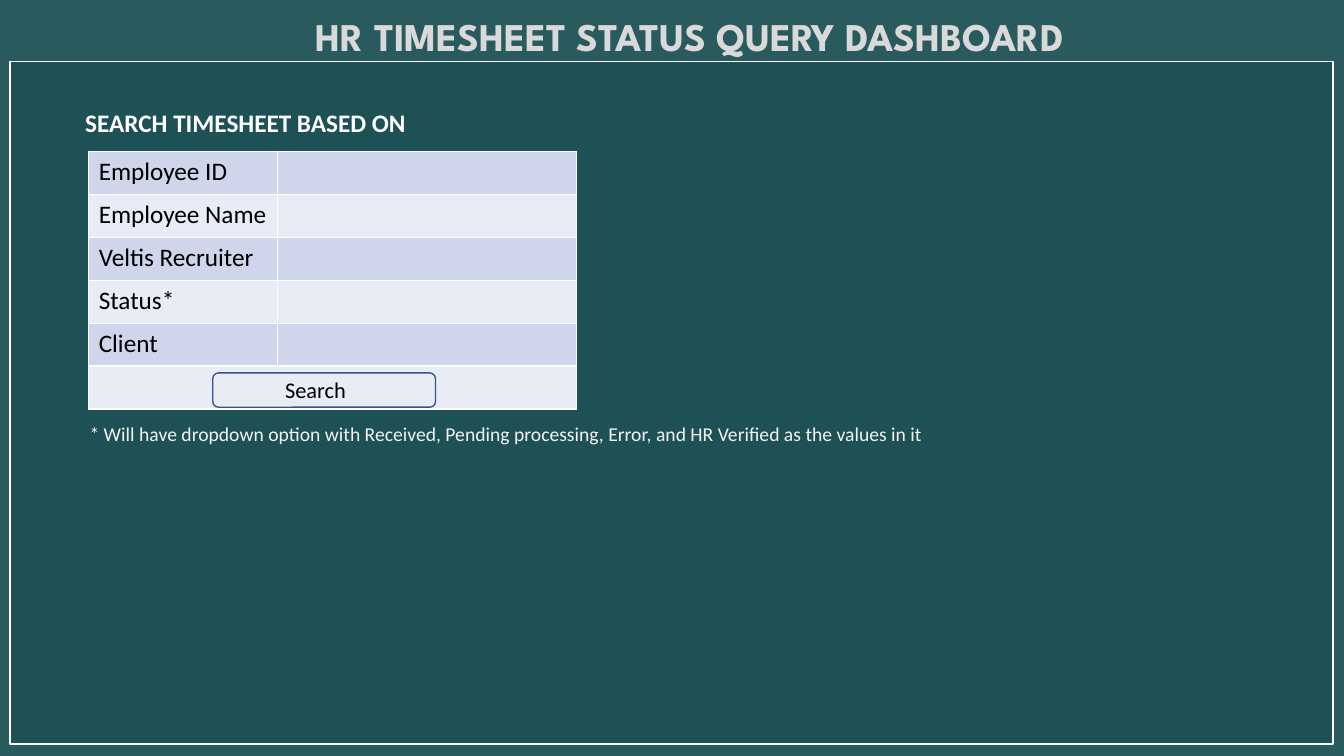
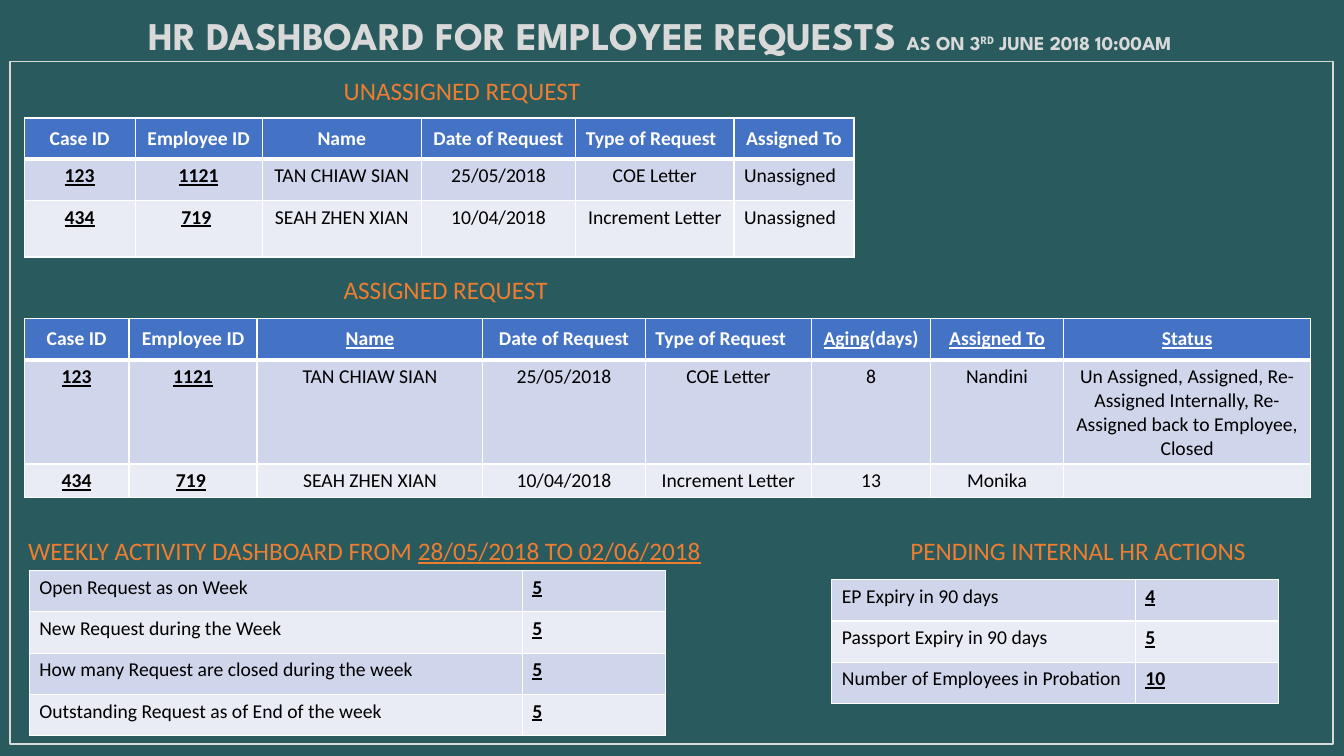
from dataclasses import dataclass

from lxml.etree import SubElement
from pptx import Presentation
from pptx.dml.color import RGBColor
from pptx.enum.shapes import MSO_SHAPE as Preset
from pptx.enum.text import MSO_ANCHOR as Anchor
from pptx.enum.text import MSO_AUTO_SIZE as AutoSize
from pptx.enum.text import PP_ALIGN as Align
from pptx.oxml.ns import qn
from pptx.util import Inches, Pt

TEAL = RGBColor(0x1E, 0x51, 0x55)
BACKDROP = RGBColor(0x29, 0x5A, 0x5D)
WHITE = RGBColor(0xFF, 0xFF, 0xFF)
BLACK = RGBColor(0x00, 0x00, 0x00)
SILVER = RGBColor(0xD9, 0xD9, 0xD9)
PALE = RGBColor(0xF2, 0xF2, 0xF2)
ORANGE = RGBColor(0xED, 0x7D, 0x31)
HEADER_BLUE = RGBColor(0x44, 0x72, 0xC4)
BUTTON_BLUE = RGBColor(0x32, 0x54, 0x91)
BANDS = (RGBColor(0xCF, 0xD5, 0xEA), RGBColor(0xE9, 0xEB, 0xF5))

TITLE_FONT = "League Spartan"
BODY_FONT = "Calibri"
TITLE_ONLY = 5
ROW = 0.41
LEFT_TEXTS = ("Type of Request", "Unassigned")


@dataclass
class Box:
    left: float
    top: float
    width: float
    height: float = 0.4

    def lengths(self):
        return [Inches(n) for n in (self.left, self.top, self.width, self.height)]

    def inner(self, left, top, width, height=0.4):
        return Box(self.left + left, self.top + top, width, height)


@dataclass
class Span:
    text: str
    size: float = None
    bold: bool = None
    underline: bool = False
    raised: bool = False


def link(text):
    return Span(text, bold=True, underline=True)


def write(paragraph, content, size, color, bold=False, font=BODY_FONT, align=Align.LEFT):
    paragraph.alignment = align
    for part in content if isinstance(content, list) else [content]:
        span = part if isinstance(part, Span) else Span(part)
        run = paragraph.add_run()
        run.text = span.text
        run.font.name = font
        run.font.size = Pt(span.size or size)
        run.font.bold = bold if span.bold is None else span.bold
        run.font.underline = span.underline
        run.font.color.rgb = color
        if span.raised:
            run._r.get_or_add_rPr().set("baseline", "30000")


def add_text(shapes, box, content, size, color, wrap=True, **style):
    text_frame = shapes.add_textbox(*box.lengths()).text_frame
    text_frame.word_wrap = wrap
    write(text_frame.paragraphs[0], content, size, color, **style)


def add_outline(shapes, preset, box, line, weight, fill=None):
    shape = shapes.add_shape(preset, *box.lengths())
    shape.shadow.inherit = False
    if fill is None:
        shape.fill.background()
    else:
        shape.fill.solid()
        shape.fill.fore_color.rgb = fill
    shape.line.color.rgb = line
    shape.line.width = Pt(weight)


def add_borders(cell, top=1, bottom=1):
    properties = cell._tc.get_or_add_tcPr()
    for side, weight in (("L", 1), ("R", 1), ("T", top), ("B", bottom)):
        line = SubElement(properties, qn(f"a:ln{side}"), w=str(Pt(weight)))
        fill = SubElement(line, qn("a:solidFill"))
        SubElement(fill, qn("a:srgbClr"), val=str(WHITE))


def add_grid(slide, left, top, widths, heights, rows, size=14, header=False, align=Align.LEFT):
    box = Box(left, top, sum(widths), sum(heights))
    table = slide.shapes.add_table(len(rows), len(widths), *box.lengths()).table
    table.first_row = header
    for column, width in zip(table.columns, widths):
        column.width = Inches(width)
    for row, height in zip(table.rows, heights):
        row.height = Inches(height)
    for i, row in enumerate(rows):
        heading = header and i == 0
        for j, content in enumerate(row):
            cell = table.cell(i, j)
            add_borders(cell, 3 if header and i == 1 else 1, 3 if heading else 1)
            cell.fill.solid()
            cell.fill.fore_color.rgb = HEADER_BLUE if heading else BANDS[(i - header) % 2]
            if heading:
                cell.vertical_anchor = Anchor.MIDDLE
            if not content:
                cell.margin_top = cell.margin_bottom = Inches(0.01)
                continue
            side = Align.LEFT if content in LEFT_TEXTS else align
            write(cell.text_frame.paragraphs[0], content, size,
                  WHITE if heading else BLACK, bold=heading, align=side)
    return table


def start_slide(presentation, title_box, title, line, fill=None):
    slide = presentation.slides.add_slide(presentation.slide_layouts[TITLE_ONLY])
    shape = slide.shapes.title
    shape.left, shape.top, shape.width, shape.height = title_box.lengths()
    text_frame = shape.text_frame
    text_frame.word_wrap = True
    text_frame.auto_size = AutoSize.NONE
    text_frame.vertical_anchor = Anchor.MIDDLE
    text_frame.margin_top = Inches(0.1)
    text_frame.margin_bottom = 0
    paragraph = text_frame.paragraphs[0]
    paragraph.line_spacing = 0.9
    paragraph.space_before = Pt(10)
    write(paragraph, title, 28, SILVER, bold=True, font=TITLE_FONT, align=Align.CENTER)
    add_outline(slide.shapes, Preset.RECTANGLE, Box(0.1, 0.61, 13.12, 6.77), line, 1.25, fill)
    return slide


def add_search_button(slide, box):
    group = slide.shapes.add_group_shape()
    add_outline(group.shapes, Preset.ROUNDED_RECTANGLE, box, BUTTON_BLUE, 1)
    add_text(group.shapes, box.inner(0.62, -0.02, 1.2, 0.37), "Search", 16, BLACK)


def add_search_form(slide, box):
    add_text(slide.shapes, box.inner(-0.78, -0.48, 4.67), "SEARCH TIMESHEET BASED ON",
             18, WHITE, bold=True, align=Align.CENTER)
    labels = ["Employee ID", "Employee Name", "Veltis Recruiter", "Status*", "Client", ""]
    table = add_grid(slide, box.left, box.top, [1.87, box.width - 1.87],
                     [box.height / len(labels)] * len(labels),
                     [[label, ""] for label in labels], size=18)
    table.cell(5, 0).merge(table.cell(5, 1))
    add_text(slide.shapes, box.inner(-0.09, 2.64, 8.63, 0.34),
             "* Will have dropdown option with Received, Pending processing, Error, "
             "and HR Verified as the values in it", 14, PALE, wrap=False)
    add_search_button(slide, box.inner(1.23, 2.2, 2.21, 0.34))


def add_requests(slide, box, heading, widths, heights, rows):
    add_text(slide.shapes, box.inner(3.07, 0, 4.26), heading, 18, ORANGE)
    add_grid(slide, box.left, box.top + box.height, widths, heights, rows,
             header=True, align=Align.CENTER)


def add_counts(slide, box, heading, indent, label_width, counts):
    add_text(slide.shapes, box, heading, 18, ORANGE)
    add_grid(slide, box.left + indent, box.top + box.height, [label_width, 1.42],
             [ROW] * len(counts), [[label, link(count)] for label, count in counts])


def build_search_slide(presentation):
    slide = start_slide(presentation, Box(1, 0.12, 11.68, 0.42),
                        "HR TIMESHEET STATUS QUERY DASHBOARD", WHITE, TEAL)
    add_search_form(slide, Box(0.88, 1.5, 4.84, 2.56))


def build_requests_slide(presentation):
    title = ["HR DASHBOARD FOR EMPLOYEE REQUESTS ", Span("AS ON 3", 14),
             Span("RD", 14, raised=True), Span(" JUNE 2018 10:00AM", 14)]
    slide = start_slide(presentation, Box(0.85, 0.11, 11.39, 0.42), title, SILVER)
    first = [link("123"), link("1121"), "TAN CHIAW SIAN", "25/05/2018", "COE Letter"]
    second = [link("434"), [link("719"), " "], "SEAH ZHEN XIAN", "10/04/2018",
              "Increment Letter"]
    add_requests(
        slide, Box(0.24, 0.7, 8.22, 0.47), "UNASSIGNED REQUEST",
        [1.1, 1.26, 1.58, 1.53, 1.57, 1.19], [ROW, ROW, 0.56],
        [["Case ID", "Employee ID", "Name", "Date of Request", "Type of Request",
          "Assigned To"],
         first + ["Unassigned"],
         second + ["Unassigned"]])
    add_requests(
        slide, Box(0.24, 2.67, 12.76, 0.49), "ASSIGNED REQUEST",
        [1.04, 1.27, 2.24, 1.61, 1.65, 1.18, 1.32, 2.45], [ROW, 1.03, 0.33],
        [["Case ID", "Employee ID", link("Name"), "Date of Request", "Type of Request",
          [link("Aging"), "(days)"], link("Assigned To"), link("Status")],
         first + ["8", "Nandini", "Un Assigned, Assigned, Re-Assigned Internally, "
                  "Re-Assigned back to Employee, Closed"],
         second + ["13", "Monika", ""]])
    add_counts(
        slide, Box(0.18, 5.26, 7.38, 0.4),
        ["WEEKLY ACTIVITY DASHBOARD FROM ", Span("28/05/2018 TO 02/06/2018", underline=True)],
        0.11, 4.89,
        [("Open Request as on Week", "5"),
         ("New Request during the Week", "5"),
         ("How many Request are closed during the week", "5"),
         ("Outstanding Request as of End of the week", "5")])
    add_counts(
        slide, Box(8.93, 5.26, 4.26, 0.49), "PENDING INTERNAL HR ACTIONS", -0.68, 3.01,
        [("EP Expiry in 90 days", "4"),
         ("Passport Expiry in 90 days", "5"),
         ("Number of Employees in Probation", "10")])


presentation = Presentation()
presentation.slide_width = Inches(13.33)
presentation.slide_height = Inches(7.5)
background = presentation.slide_master.background.fill
background.solid()
background.fore_color.rgb = BACKDROP
build_search_slide(presentation)
build_requests_slide(presentation)
presentation.save("out.pptx")
